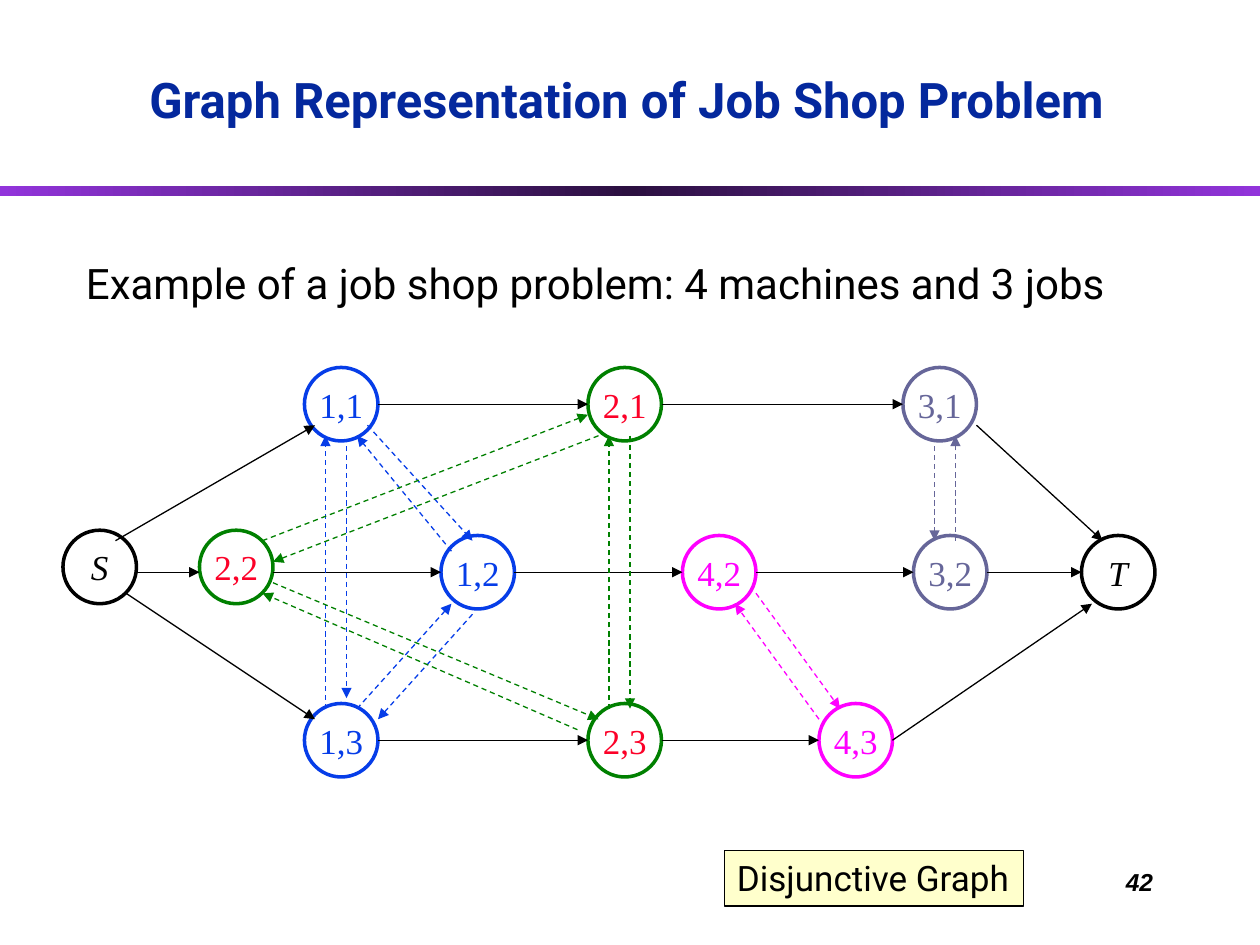
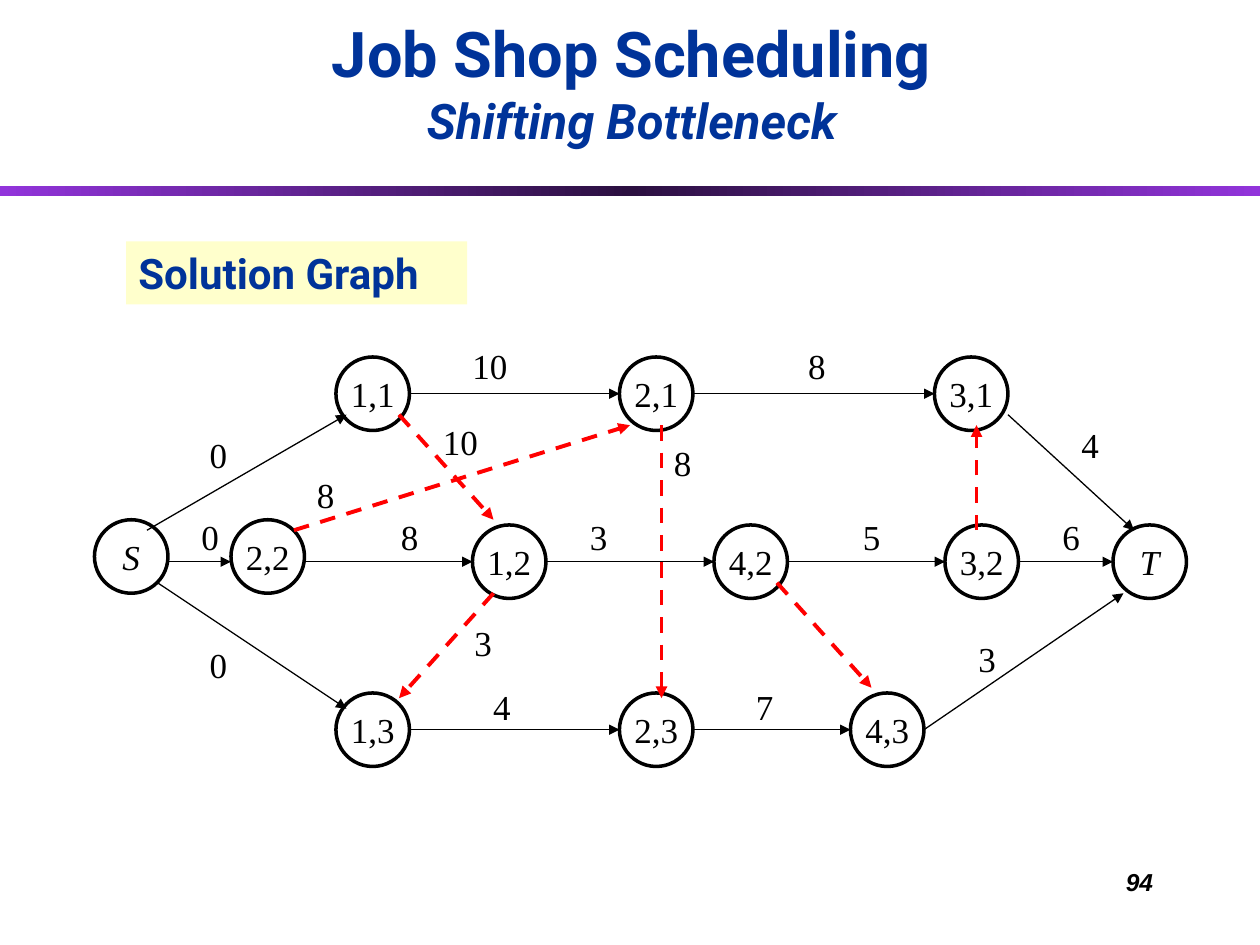
from copy import deepcopy

from lxml import etree
from pptx import Presentation
from pptx.dml.color import RGBColor
from pptx.enum.dml import MSO_LINE
from pptx.enum.shapes import MSO_CONNECTOR, MSO_SHAPE
from pptx.enum.text import MSO_ANCHOR, MSO_AUTO_SIZE, PP_ALIGN
from pptx.oxml.ns import qn
from pptx.util import Pt

PX = 7620  # 120 px to the inch
LEFT, CENTER, RIGHT = PP_ALIGN.LEFT, PP_ALIGN.CENTER, PP_ALIGN.RIGHT
TOP, MIDDLE, BOTTOM = MSO_ANCHOR.TOP, MSO_ANCHOR.MIDDLE, MSO_ANCHOR.BOTTOM
STRAIGHT, OVAL, RECTANGLE = MSO_CONNECTOR.STRAIGHT, MSO_SHAPE.OVAL, MSO_SHAPE.RECTANGLE
DASH, NO_AUTOFIT = MSO_LINE.DASH, MSO_AUTO_SIZE.NONE
rgb = RGBColor.from_string

SANS, SERIF, NUMBER_FONT = "Roboto", "Times New Roman", "Arial"
BLACK, NAVY, DEEP_BLUE, CREAM = "000000", "04289D", "003399", "FFFFCC"
BLUE, GREEN, RED, MAGENTA, SLATE = "063DE8", "008000", "FC0128", "FF00FF", "666699"
PATH_RED = "FF0000"
BAND_STOPS = [(0, "9234DB"), (0.5, "2B1040"), (1, "9234DB")]

# The graph shared by both slides: operations, then the arcs of the three jobs
NODE_SIZE = 70
NODES = {
    "S": (60, 505), "1,3": (290, 670), "1,1": (290, 350), "1,2": (420, 510),
    "2,3": (560, 670), "2,1": (560, 350), "4,2": (650, 510), "4,3": (780, 670),
    "3,1": (860, 350), "3,2": (870, 510), "T": (1030, 510), "2,2": (190, 505),
}
MACHINE_COLORS = {"1": (BLUE, BLUE), "2": (GREEN, RED), "3": (SLATE, SLATE),
                  "4": (MAGENTA, MAGENTA)}  # outline, text
JOB_ROWS = {
    385: ["1,1", "2,1", "3,1"],
    545: ["S", "2,2", "1,2", "4,2", "3,2", "T"],
    705: ["1,3", "2,3", "4,3"],
}
job_arcs = [(110, 515, 300, 405), (930, 405, 1050, 515),
            (120, 565, 300, 685), (850, 705, 1040, 575)]
for row_y, operations in JOB_ROWS.items():
    for before, after in zip(operations, operations[1:]):
        job_arcs.append((NODES[before][0] + NODE_SIZE, row_y, NODES[after][0], row_y))

MACHINE_ARCS = {
    BLUE: [(350, 405, 450, 515), (430, 525, 340, 415), (450, 585, 360, 685),
           (340, 675, 430, 575), (330, 425, 330, 665), (310, 675, 310, 415)],
    GREEN: [(250, 515, 560, 395), (570, 415, 260, 535), (580, 675, 580, 415),
            (600, 415, 600, 675), (260, 555, 570, 685), (550, 695, 250, 565)],
    MAGENTA: [(720, 565, 800, 675), (780, 685, 700, 575)],
    SLATE: [(890, 425, 890, 515), (910, 515, 910, 415)],
}
SELECTED_ARCS = {
    PATH_RED: [(380, 395, 470, 495), (470, 565, 380, 665), (280, 505, 600, 405),
               (630, 405, 630, 665), (740, 555, 830, 655), (930, 505, 930, 405)],
}
DURATIONS = [
    ("10", 438, 322), ("8", 758, 322), ("0", 188, 407), ("4", 1018, 397),
    ("0", 180, 485), ("0", 188, 607), ("8", 370, 485), ("3", 550, 485),
    ("5", 810, 485), ("6", 1000, 485), ("4", 458, 647), ("7", 708, 647),
    ("3", 920, 601), ("10", 410, 395), ("3", 440, 586), ("8", 290, 445),
    ("8", 630, 415),
]

# Text boxes: text, box, font, size, colour, align, bold, italic, fill, outline
SLIDES = [
    dict(
        title=[("Graph Representation of Job Shop Problem", 28, False)],
        title_box=(20, 60, 1153, 83), title_color=NAVY, title_anchor=TOP,
        shift=(0, 0), colored=True, arcs=MACHINE_ARCS, arc_width=0.75,
        texts=[
            ("42", (860, 820, 250, 60), NUMBER_FONT, 14, BLACK, RIGHT, True, True, None, None),
            ("Disjunctive Graph", (690, 810, 285, 53), SANS, 20, BLACK, LEFT, False, False,
             CREAM, BLACK),
            ("Example of a job shop problem: 4 machines and 3 jobs", (70, 239, 1000, 60),
             SANS, 24, BLACK, LEFT, False, False, None, None),
        ],
    ),
    dict(
        title=[("Job Shop Scheduling", 36, False), ("Shifting Bottleneck", 28, True)],
        title_box=(50, 20, 1103, 128), title_color=DEEP_BLUE, title_anchor=BOTTOM,
        shift=(30, -10), colored=False, arcs=SELECTED_ARCS, arc_width=2.25,
        texts=[
            ("94", (860, 820, 250, 60), NUMBER_FONT, 14, BLACK, RIGHT, True, True, None, None),
            ("Solution Graph", (120, 230, 325, 60), SANS, 24, DEEP_BLUE, LEFT, True, False,
             CREAM, None),
        ] + [
            (duration, (x, y, 24 + 17 * len(duration), 51), SERIF, 20, BLACK, LEFT,
             False, False, None, None)
            for duration, x, y in DURATIONS
        ],
    ),
]


def format_paragraph(paragraph, font, size, color, align, bold=False, italic=False):
    paragraph.alignment = align
    for run in paragraph.runs:
        run.font.name, run.font.size = font, Pt(size)
        run.font.bold, run.font.italic = bold, italic
        run.font.color.rgb = rgb(color)


def add_arrow(slide, ends, color, width, dashed=False):
    arrow = slide.shapes.add_connector(STRAIGHT, *[n * PX for n in ends])
    arrow.line.color.rgb = rgb(color)
    arrow.line.width = Pt(width)
    if dashed:
        arrow.line.dash_style = DASH
    etree.SubElement(arrow.line._get_or_add_ln(), qn("a:tailEnd"), type="triangle")
    etree.SubElement(arrow._element.spPr, qn("a:effectLst"))


prs = Presentation()
prs.slide_width, prs.slide_height = 1200 * PX, 900 * PX

for content in SLIDES:
    slide = prs.slides.add_slide(prs.slide_layouts[5])
    dx, dy = content["shift"]

    title = slide.shapes.title
    title.left, title.top, title.width, title.height = [n * PX for n in content["title_box"]]
    heading = title.text_frame
    heading.text = "\n".join(line for line, _, _ in content["title"])
    heading.word_wrap = True
    heading.auto_size = NO_AUTOFIT
    heading.vertical_anchor = content["title_anchor"]
    for paragraph, (_, size, italic) in zip(heading.paragraphs, content["title"]):
        format_paragraph(paragraph, SANS, size, content["title_color"], CENTER, True, italic)

    band = slide.shapes.add_shape(RECTANGLE, 0, 177 * PX, 1200 * PX, 10 * PX)
    band.shadow.inherit = False
    band.line.fill.background()
    band.fill.gradient()
    band.fill.gradient_angle = 0
    stop_list = band._element.spPr.find(".//" + qn("a:gsLst"))
    stop_list.append(deepcopy(stop_list[0]))
    for stop, (position, color) in zip(band.fill.gradient_stops, BAND_STOPS):
        stop.position = position
        stop.color.rgb = rgb(color)

    for operation, (x, y) in NODES.items():
        outline, text_color = BLACK, BLACK
        if content["colored"]:
            outline, text_color = MACHINE_COLORS.get(operation[0], (BLACK, BLACK))
        node = slide.shapes.add_shape(OVAL, (x + dx) * PX, (y + dy) * PX,
                                      NODE_SIZE * PX, NODE_SIZE * PX)
        node.shadow.inherit = False
        node.fill.background()
        node.line.color.rgb = rgb(outline)
        node.line.width = Pt(2)
        label = node.text_frame
        label.text = operation
        label.word_wrap = False
        label.vertical_anchor = MIDDLE
        label.margin_left = label.margin_right = 0
        format_paragraph(label.paragraphs[0], SERIF, 20, text_color, CENTER,
                         italic=operation in "ST")

    for x1, y1, x2, y2 in job_arcs:
        add_arrow(slide, (x1 + dx, y1 + dy, x2 + dx, y2 + dy), BLACK, 0.75)
    for color, arcs in content["arcs"].items():
        for ends in arcs:
            add_arrow(slide, ends, color, content["arc_width"], dashed=True)

    for text, box, font, size, color, align, bold, italic, fill, outline in content["texts"]:
        text_box = slide.shapes.add_textbox(*[n * PX for n in box])
        text_box.text_frame.text = text
        text_box.text_frame.word_wrap = True
        format_paragraph(text_box.text_frame.paragraphs[0], font, size, color, align, bold, italic)
        if fill:
            text_box.fill.solid()
            text_box.fill.fore_color.rgb = rgb(fill)
        if outline:
            text_box.line.color.rgb = rgb(outline)
            text_box.line.width = Pt(0.75)

prs.save("out.pptx")
